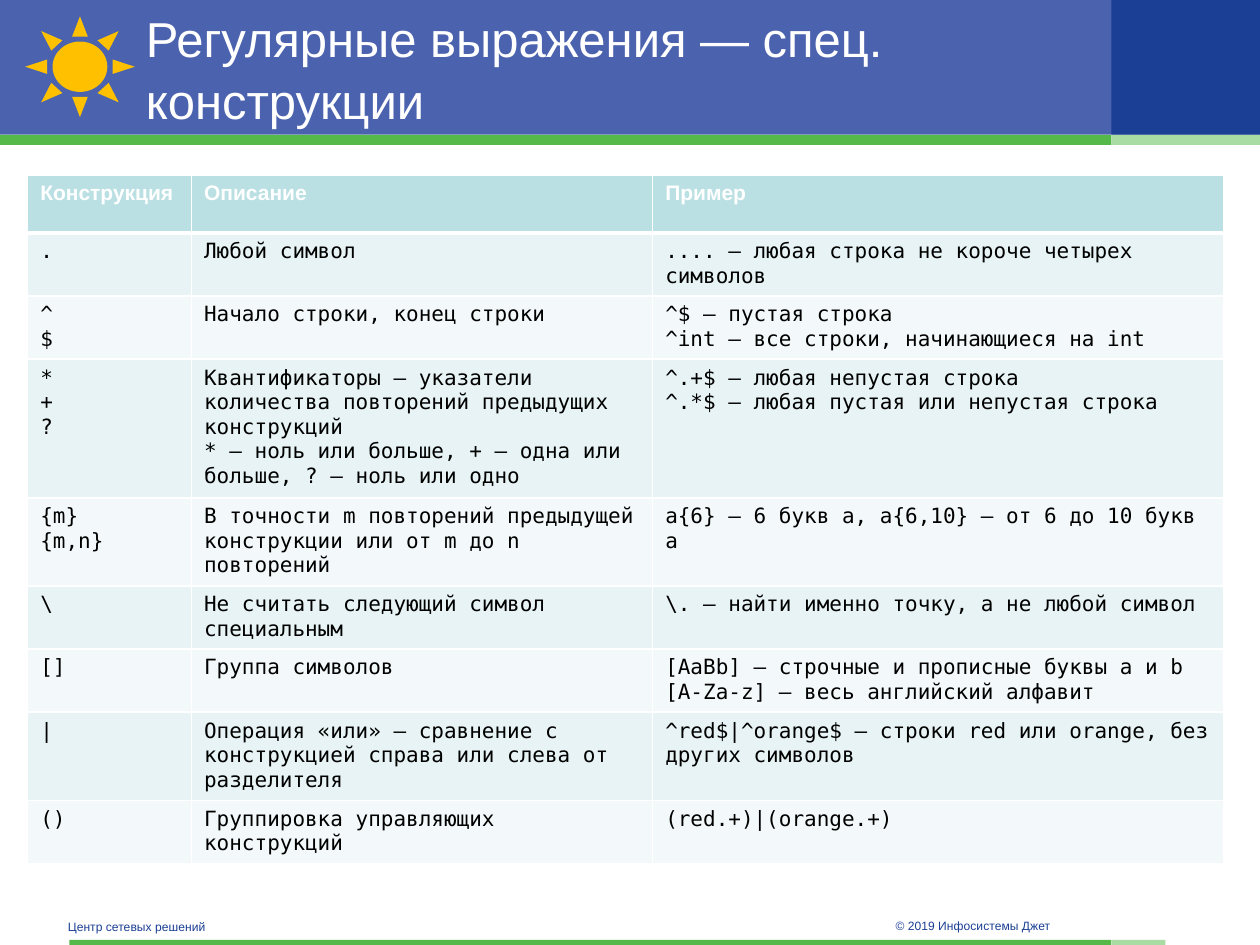
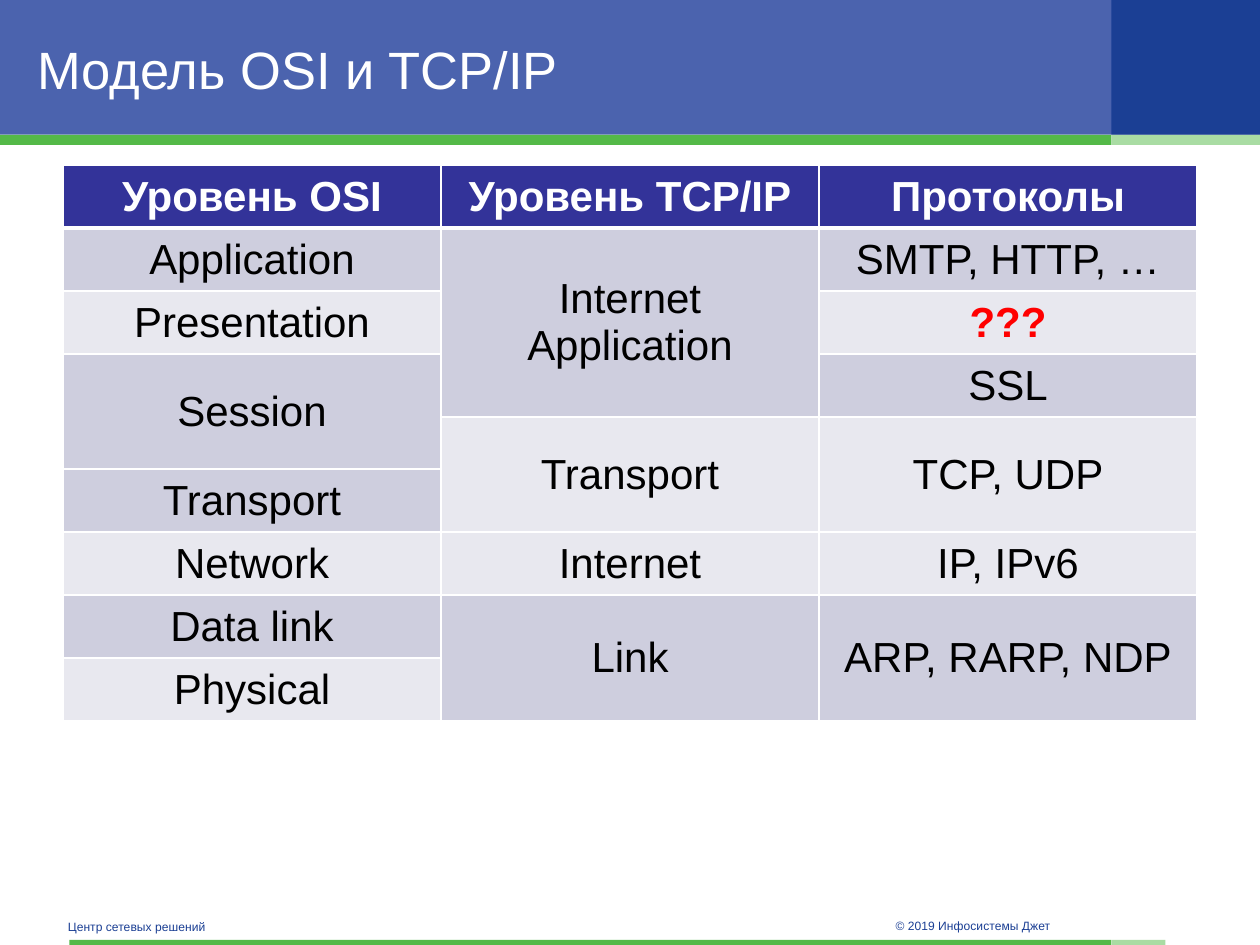
from typing import NamedTuple

from lxml.etree import SubElement as Sub
from pptx import Presentation
from pptx.dml.color import RGBColor
from pptx.enum.shapes import MSO_SHAPE as Shape
from pptx.enum.text import MSO_ANCHOR as Anchor, PP_ALIGN as Align
from pptx.oxml.ns import qn
from pptx.util import Inches, Pt

SANS = "Arial"
MONO = "DejaVu Sans Mono"
WHITE = "FFFFFF"
BLACK = "000000"
NAVY = "1B3F94"
BLUE = "4B63AE"
GREEN = "54B948"
LIME = "A9DCA3"
GOLD = "FFC000"
RED = "FF0000"
SPLIT = 8.82


class Box(NamedTuple):
    left: float
    top: float
    width: float
    height: float


class Band(NamedTuple):
    box: Box
    fill: str


class Note(NamedTuple):
    box: Box
    text: str


class Look(NamedTuple):
    size: int
    font: str
    head: str
    odd: str
    even: str
    align: Align
    anchor: Anchor


class Span(NamedTuple):
    row: int
    col: int
    last: int


BANDS = [
    Band(Box(0, 0, 10, 1.07), BLUE),
    Band(Box(SPLIT, 0, 10 - SPLIT, 1.07), NAVY),
    Band(Box(0, 1.07, SPLIT, 0.08), GREEN),
    Band(Box(SPLIT, 1.07, 10 - SPLIT, 0.08), LIME),
    Band(Box(0.55, 7.46, SPLIT - 0.55, 0.04), GREEN),
    Band(Box(SPLIT, 7.46, 0.43, 0.04), LIME),
]
NOTES = [
    Note(Box(7.01, 7.19, 2.36, 0.2), "© 2019 Инфосистемы Джет"),
    Note(Box(0.44, 7.18, 3.3, 0.23), "Центр сетевых решений"),
]

REGEX = Look(12, MONO, "BBE0E3", "E7F3F4", "F3F9FA", Align.LEFT, Anchor.TOP)
REGEX_ROWS = [
    ["Конструкция", "Описание", "Пример"],
    [".", "Любой символ", ".... — любая строка не короче четырех символов"],
    ["^\n$", "Начало строки, конец строки",
     "^$ — пустая строка\n^int — все строки, начинающиеся на int"],
    ["*\n+\n?",
     "Квантификаторы — указатели количества повторений предыдущих конструкций\n"
     "* — ноль или больше, + — одна или больше, ? — ноль или одно",
     "^.+$ — любая непустая строка\n^.*$ — любая пустая или непустая строка"],
    ["{m}\n{m,n}",
     "В точности m повторений предыдущей конструкции или от m до n повторений",
     "a{6} — 6 букв a, a{6,10} — от 6 до 10 букв a"],
    ["\\", "Не считать следующий символ специальным",
     "\\. — найти именно точку, а не любой символ"],
    ["[]", "Группа символов",
     "[AaBb] — строчные и прописные буквы a и b\n"
     "[A-Za-z] — весь английский алфавит"],
    ["|", "Операция «или» — сравнение с конструкцией справа или слева от разделителя",
     "^red$|^orange$ — строки red или orange, без других символов"],
    ["()", "Группировка управляющих конструкций", "(red.+)|(orange.+)"],
]
REGEX_HIGH = [0.46, 0.49, 0.49, 1.07, 0.69, 0.49, 0.49, 0.68, 0.49]

LAYER = Look(24, SANS, "333399", "CECEDE", "E8E8EF", Align.CENTER, Anchor.MIDDLE)
LAYER_ROWS = [
    ["Уровень OSI", "Уровень TCP/IP", "Протоколы"],
    ["Application", "Internet Application", "SMTP, HTTP, …"],
    ["Presentation", "", "???"],
    ["Session", "", "SSL"],
    ["", "Transport", "TCP, UDP"],
    ["Transport", "", ""],
    ["Network", "Internet", "IP, IPv6"],
    ["Data link", "Link", "ARP, RARP, NDP"],
    ["Physical", "", ""],
]
LAYER_HIGH = [0.47] * 4 + [0.41] + [0.47] * 4
LAYER_SPANS = [Span(1, 1, 3), Span(3, 0, 4), Span(4, 1, 5), Span(4, 2, 5),
               Span(7, 1, 8), Span(7, 2, 8)]


def tint(code: str) -> RGBColor:
    return RGBColor.from_string(code)


def place(box: Box) -> list:
    return [Inches(side) for side in box]


def style(frame, size: int, font: str, code: str, bold: bool = False,
          align: Align = Align.LEFT) -> None:
    for para in frame.paragraphs:
        para.alignment = align
        for run in para.runs:
            run.font.size = Pt(size)
            run.font.name = font
            run.font.bold = bold
            run.font.color.rgb = tint(code)


def draw_shape(slide, kind: Shape, box: Box, code: str) -> None:
    shape = slide.shapes.add_shape(kind, *place(box))
    shape.shadow.inherit = False
    shape.fill.solid()
    shape.fill.fore_color.rgb = tint(code)
    shape.line.fill.background()


def draw_text(slide, note: Note, size: int, code: str):
    frame = slide.shapes.add_textbox(*place(note.box)).text_frame
    frame.word_wrap = True
    frame.vertical_anchor = Anchor.MIDDLE
    frame.text = note.text
    style(frame, size, SANS, code)
    return frame.paragraphs[0]


def draw_base(deck, title: Note, size: int):
    slide = deck.slides.add_slide(deck.slide_layouts[6])
    for band in BANDS:
        draw_shape(slide, Shape.RECTANGLE, band.box, band.fill)
    for note in NOTES:
        para = draw_text(slide, note, 12, NAVY)
        para.runs[0].font._element.set("baseline", "-25000")
    draw_text(slide, title, size, WHITE).line_spacing = 1.05
    return slide


def edge(cell, side: str, width: float) -> None:
    props = cell._tc.get_or_add_tcPr()
    line = Sub(props, qn(f"a:ln{side}"), w=str(Pt(width)))
    Sub(Sub(line, qn("a:solidFill")), qn("a:srgbClr"), val=WHITE)


def draw_table(slide, left: float, top: float, wide: list[float],
               high: list[float], rows: list[list[str]], look: Look):
    box = Box(left, top, sum(wide), sum(high))
    grid = slide.shapes.add_table(len(rows), len(wide), *place(box)).table
    for col, width in zip(grid.columns, wide):
        col.width = Inches(width)
    for i, (row, height) in enumerate(zip(grid.rows, high)):
        row.height = Inches(height)
        head = i == 0
        for cell, text in zip(row.cells, rows[i]):
            for side in "LRTB":
                thick = (i, side) in [(0, "B"), (1, "T")]
                edge(cell, side, 3 if thick else 1)
            cell.fill.solid()
            code = look.head if head else (look.odd if i % 2 else look.even)
            cell.fill.fore_color.rgb = tint(code)
            cell.vertical_anchor = look.anchor
            cell.text_frame.text = text
            style(cell.text_frame, look.size, SANS if head else look.font,
                  WHITE if head else BLACK, head, look.align)
            if not text:
                cell.text_frame.paragraphs[0].font.size = Pt(look.size)
    return grid


def draw_regex(deck) -> None:
    title = Note(Box(1.06, 0.14, 7.56, 0.79),
                 "Регулярные выражения — спец. конструкции")
    slide = draw_base(deck, title, 28)
    draw_table(slide, 0.22, 1.39, [1.3, 3.66, 4.53], REGEX_HIGH,
               REGEX_ROWS, REGEX)
    draw_shape(slide, Shape.SUN, Box(0.2, 0.13, 0.87, 0.8), GOLD)


def draw_layers(deck) -> None:
    title = Note(Box(0.2, 0.14, 8.43, 0.79), "Модель OSI и TCP/IP")
    slide = draw_base(deck, title, 30)
    grid = draw_table(slide, 0.5, 1.31, [3] * 3, LAYER_HIGH, LAYER_ROWS, LAYER)
    for span in LAYER_SPANS:
        grid.cell(span.row, span.col).merge(grid.cell(span.last, span.col))
    style(grid.cell(2, 2).text_frame, 24, SANS, RED, True, Align.CENTER)


def main() -> None:
    deck = Presentation()
    deck.slide_width = Inches(10)
    deck.slide_height = Inches(7.5)
    draw_regex(deck)
    draw_layers(deck)
    deck.save("out.pptx")


if __name__ == "__main__":
    main()
